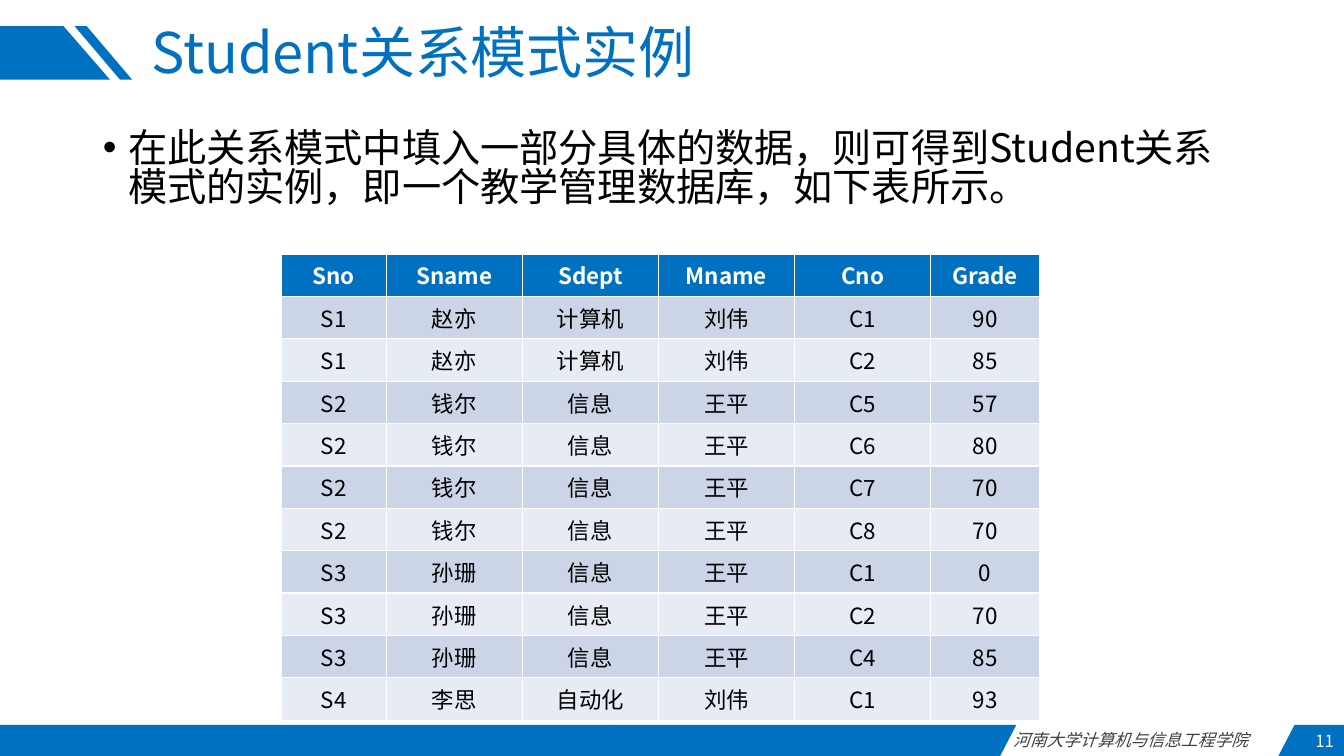
import pptx
import pptx.dml.color
import pptx.enum.text
import pptx.oxml
import pptx.oxml.ns
import pptx.util

PX = 9144
FONT = "Noto Sans CJK SC"
BLUE = pptx.dml.color.RGBColor(0x00, 0x70, 0xC0)
WHITE = pptx.dml.color.RGBColor(0xFF, 0xFF, 0xFF)
BLACK = pptx.dml.color.RGBColor(0x00, 0x00, 0x00)
GRAY = pptx.dml.color.RGBColor(0x40, 0x40, 0x40)
BANDS = (pptx.dml.color.RGBColor(0xE7, 0xEB, 0xF4), pptx.dml.color.RGBColor(0xCC, 0xD5, 0xE8))
ALIGN = pptx.enum.text.PP_ALIGN
MIDDLE = pptx.enum.text.MSO_ANCHOR.MIDDLE
TOP = pptx.enum.text.MSO_ANCHOR.TOP

BANNER = [
    [(0, 26), (63, 26), (109, 79), (0, 79)],
    [(86, 26), (131, 79), (119, 79), (74, 26)],
]
FOOTER = [
    [(0, 719), (1008, 719), (992, 750), (0, 750)],
    [(1284, 719), (1334, 719), (1334, 750), (1268, 750)],
]
COLUMN_WIDTHS = [104, 135, 135, 135, 135, 108]
HEADER = ["Sno", "Sname", "Sdept", "Mname", "Cno", "Grade"]
STUDENTS = {
    "S1": ("赵亦", "计算机", "刘伟"),
    "S2": ("钱尔", "信息", "王平"),
    "S3": ("孙珊", "信息", "王平"),
    "S4": ("李思", "自动化", "刘伟"),
}
GRADES = [
    ("S1", "C1", 90), ("S1", "C2", 85), ("S2", "C5", 57), ("S2", "C6", 80), ("S2", "C7", 70),
    ("S2", "C8", 70), ("S3", "C1", 0), ("S3", "C2", 70), ("S3", "C4", 85), ("S4", "C1", 93),
]


def write(tf, text, size, color, align=ALIGN.LEFT, bold=False, italic=False,
          spacing=None, after=0, bullet=None, indent=0):
    """Write one formatted paragraph into a text frame."""
    p = tf.paragraphs[0]
    if bullet:
        pPr = p._p.get_or_add_pPr()
        pPr.set("marL", str(indent * PX))
        pPr.set("indent", str(-indent * PX))
        pPr.append(pptx.oxml.parse_xml(
            f'<a:buChar {pptx.oxml.ns.nsdecls("a")} char="{bullet}"/>'))
    p.alignment = align
    p.space_before = pptx.util.Pt(0)
    p.space_after = pptx.util.Pt(after)
    if spacing:
        p.line_spacing = spacing
    r = p.add_run()
    r.text = text
    r.font.size = pptx.util.Pt(size)
    r.font.name = FONT
    r.font.bold = bold
    r.font.italic = italic
    r.font.color.rgb = color
    r.font._element.append(pptx.oxml.parse_xml(
        f'<a:ea {pptx.oxml.ns.nsdecls("a")} typeface="{FONT}"/>'))


class SlideBuilder:
    """Hold the slide and add its styled elements."""

    def __init__(self, slide):
        self.slide = slide

    def polygon(self, points, color=BLUE):
        builder = self.slide.shapes.build_freeform(*points[0], scale=PX)
        builder.add_line_segments(points[1:], close=True)
        sp = builder.convert_to_shape()
        sp.shadow.inherit = False
        sp.fill.solid()
        sp.fill.fore_color.rgb = color
        sp.line.fill.background()

    def frame(self, sp, box, anchor):
        sp.left, sp.top, sp.width, sp.height = (n * PX for n in box)
        tf = sp.text_frame
        tf.word_wrap = True
        tf.auto_size = pptx.enum.text.MSO_AUTO_SIZE.NONE
        tf.vertical_anchor = anchor
        return tf

    def placeholder(self, index, text, box, anchor=TOP, **style):
        write(self.frame(self.slide.placeholders[index], box, anchor), text, **style)

    def label(self, text, box, anchor=TOP, **style):
        sp = self.slide.shapes.add_textbox(0, 0, 0, 0)
        write(self.frame(sp, box, anchor), text, **style)

    def table(self, rows, widths, left, top, row_height):
        box = (left, top, sum(widths), row_height * len(rows))
        table = self.slide.shapes.add_table(len(rows), len(widths), *(n * PX for n in box)).table
        for column, width in zip(table.columns, widths):
            column.width = width * PX
        for i, row in enumerate(rows):
            for j, value in enumerate(row):
                cell = table.cell(i, j)
                cell.fill.solid()
                cell.fill.fore_color.rgb = BANDS[i % 2] if i else BLUE
                write(cell.text_frame, str(value), size=16, color=BLACK if i else WHITE,
                      align=ALIGN.CENTER, bold=i == 0)


def main():
    prs = pptx.Presentation()
    prs.slide_width, prs.slide_height = 1333 * PX, 750 * PX
    s = SlideBuilder(prs.slides.add_slide(prs.slide_layouts[1]))
    for points in BANNER + FOOTER:
        s.polygon(points)
    s.label("河南大学计算机与信息工程学院", (995, 719, 273, 30), size=12, color=GRAY,
            align=ALIGN.JUSTIFY, italic=True)
    s.placeholder(1, "在此关系模式中填入一部分具体的数据，则可得到Student关系模式的实例，即一个教学管理数据库，如下表所示。",
                  (92, 125, 1150, 572), size=28, color=BLACK, spacing=0.83, after=6,
                  bullet="•", indent=25)
    rows = [HEADER] + [(sno, *STUDENTS[sno], cno, grade) for sno, cno, grade in GRADES]
    s.table(rows, COLUMN_WIDTHS, left=279, top=252, row_height=37)
    s.placeholder(0, "Student关系模式实例", (140, 10, 1045, 90), anchor=MIDDLE,
                  size=40, color=BLUE, spacing=0.9)
    s.label("11", (1194, 720, 139, 30), anchor=MIDDLE, size=12, color=WHITE, align=ALIGN.RIGHT)
    prs.save("out.pptx")


if __name__ == "__main__":
    main()
